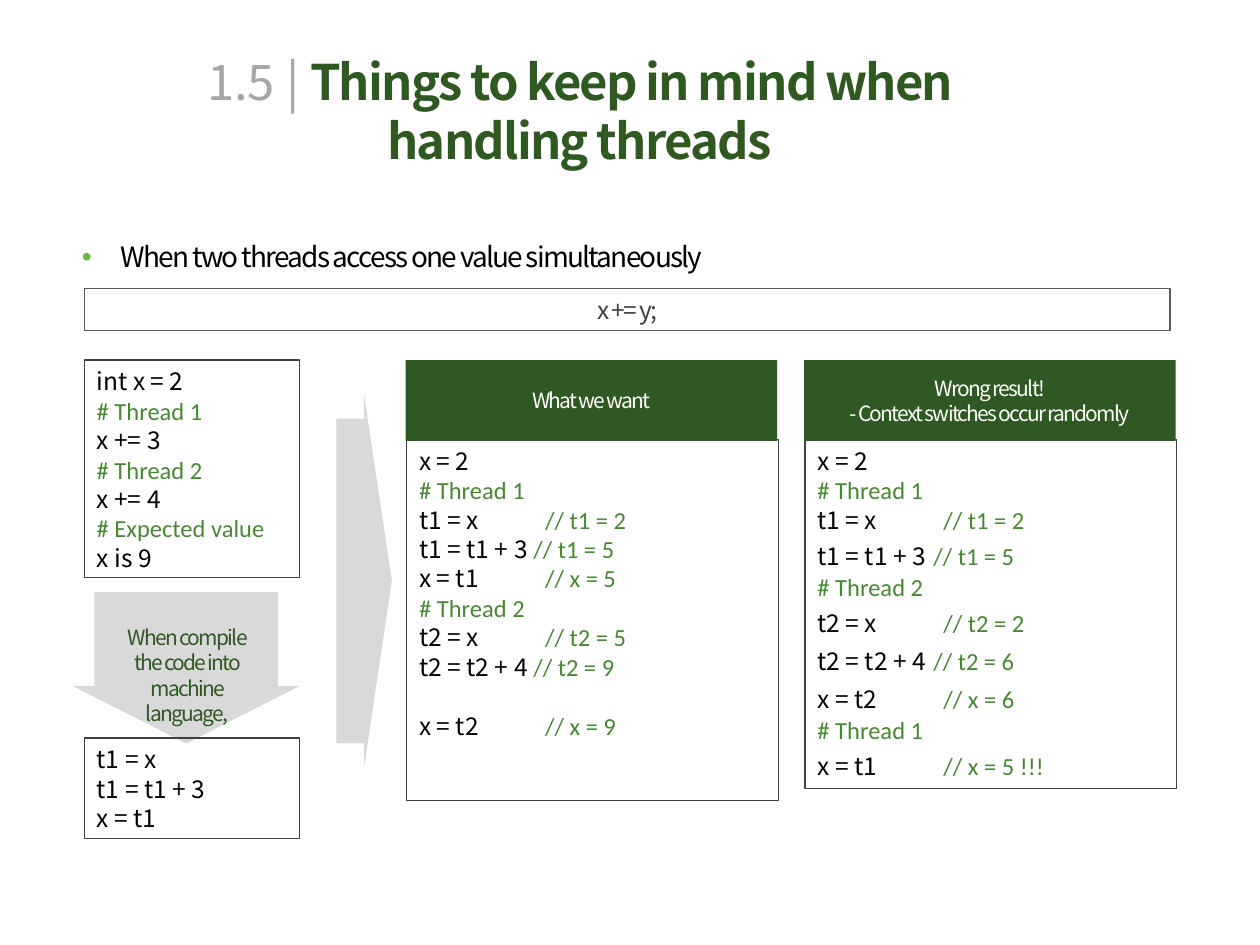
from dataclasses import dataclass, field
from typing import Optional

from lxml.etree import SubElement
from pptx import Presentation
from pptx.dml.color import RGBColor
from pptx.enum.shapes import MSO_SHAPE
from pptx.enum.text import MSO_ANCHOR, PP_ALIGN
from pptx.oxml.ns import qn
from pptx.util import Cm, Pt

DARK_GREEN = RGBColor(0x2F, 0x58, 0x22)
COMMENT_GREEN = RGBColor(0x49, 0x87, 0x35)
BULLET_GREEN = RGBColor(0x63, 0xB7, 0x49)
BLACK = RGBColor(0, 0, 0)
WHITE = RGBColor(0xFF, 0xFF, 0xFF)
CHARCOAL = RGBColor(0x40, 0x40, 0x40)
GRAY = RGBColor(0x59, 0x59, 0x59)
NUMBER_GRAY = RGBColor(0xA6, 0xA6, 0xA6)
ARROW_GRAY = RGBColor(0xD9, 0xD9, 0xD9)
SANS = "Noto Sans CJK KR"
CODE_FONT = "Calibri"


@dataclass(frozen=True)
class Run:
    text: str
    size: float = 14
    color: RGBColor = BLACK
    name: str = SANS
    bold: bool = False
    spacing: float = 0


@dataclass(frozen=True)
class Line:
    runs: list[Run]
    format: dict = field(default_factory=dict)


@dataclass(frozen=True)
class Box:
    left: float
    top: float
    width: float
    height: float
    lines: list[Line] = field(default_factory=list)
    fill: Optional[RGBColor] = None
    outline: Optional[RGBColor] = None
    anchor: MSO_ANCHOR = MSO_ANCHOR.TOP
    preset: MSO_SHAPE = MSO_SHAPE.RECTANGLE
    adjustments: tuple[float, ...] = ()


def code(text: str) -> Line:
    return Line([Run(text)])


def comment_run(text: str) -> Run:
    return Run(text, color=COMMENT_GREEN, name=CODE_FONT)


def comment(text: str) -> Line:
    return Line([comment_run(text)])


def step(text: str, gap: str, note: str, space_before: float = 0) -> Line:
    return Line([Run(text + gap), comment_run(note)], {"space_before": Pt(space_before)})


def tall_step(text: str, gap: str, note: str) -> Line:
    return Line([Run(text), Run(gap, size=18, name=CODE_FONT), comment_run(note)])


def centered(*runs: Run) -> Line:
    return Line(list(runs), {"alignment": PP_ALIGN.CENTER})


def write_run(paragraph, run: Run) -> None:
    for index, text in enumerate(run.text.split("\n")):
        if index:
            paragraph.add_line_break()
        text_run = paragraph.add_run()
        text_run.text = text
        values = {"name": run.name, "size": Pt(run.size), "bold": run.bold}
        for attribute, value in values.items():
            setattr(text_run.font, attribute, value)
        text_run.font.color.rgb = run.color
        if run.spacing:
            text_run.font._element.set("spc", str(int(run.spacing * 100)))


def write_lines(shape, box: Box) -> None:
    frame = shape.text_frame
    for attribute, value in {"word_wrap": True, "vertical_anchor": box.anchor}.items():
        setattr(frame, attribute, value)
    for index, line in enumerate(box.lines):
        paragraph = frame.add_paragraph() if index else frame.paragraphs[0]
        for attribute, value in {"alignment": PP_ALIGN.LEFT, **line.format}.items():
            setattr(paragraph, attribute, value)
        for run in line.runs:
            write_run(paragraph, run)


def place(box: Box) -> tuple[Cm, Cm, Cm, Cm]:
    return Cm(box.left), Cm(box.top), Cm(box.width), Cm(box.height)


def draw_text(slide, box: Box):
    shape = slide.shapes.add_textbox(*place(box))
    write_lines(shape, box)
    return shape


def draw_shape(slide, box: Box) -> None:
    shape = slide.shapes.add_shape(box.preset, *place(box))
    shape.shadow.inherit = False
    for index, value in enumerate(box.adjustments):
        shape.adjustments[index] = value
    if box.fill is None:
        shape.fill.background()
    else:
        shape.fill.solid()
        shape.fill.fore_color.rgb = box.fill
    if box.outline is None:
        shape.line.fill.background()
    else:
        shape.line.color.rgb = box.outline
        shape.line.width = Pt(0.75)
    write_lines(shape, box)


def add_bullet(paragraph, color: RGBColor) -> None:
    properties = paragraph._p.get_or_add_pPr()
    properties.set("marL", str(Cm(0.79)))
    properties.set("indent", str(Cm(-0.79)))
    bullet_color = SubElement(properties, qn("a:buClr"))
    SubElement(bullet_color, qn("a:srgbClr")).set("val", str(color))
    SubElement(properties, qn("a:buFont")).set("typeface", "Arial")
    SubElement(properties, qn("a:buChar")).set("char", "•")


def draw_panel(slide, left: float, height: float, heading: str, lines: list[Line]) -> None:
    draw_shape(slide, Box(left + 0.02, 8.86, 7.49, height, lines, outline=CHARCOAL))
    heading_line = centered(Run(heading, 12, WHITE, spacing=-1))
    draw_shape(slide, Box(left, 7.26, 7.49, 1.63, [heading_line],
                          fill=DARK_GREEN, anchor=MSO_ANCHOR.MIDDLE))


TITLE = Box(2.79, 0.91, 17.78, 2.64, [centered(
    Run("1.5 | ", 28, NUMBER_GRAY),
    Run("Things to keep in mind when handling threads", 28, DARK_GREEN, bold=True, spacing=-1),
)], anchor=MSO_ANCHOR.MIDDLE)
TOPIC = Box(1.4, 4.37, 22.71, 1.27, [Line(
    [Run("When two threads access one value simultaneously", 16, spacing=-1)],
    {"line_spacing": 1.5, "space_before": Pt(6)},
)])
STATEMENT = Box(1.7, 5.82, 21.89, 0.84,
                [centered(Run("x += y;", color=CHARCOAL, spacing=-1))], outline=GRAY)
DOWN_ARROW = Box(1.47, 11.94, 4.57, 3.05, fill=ARROW_GRAY,
                 preset=MSO_SHAPE.DOWN_ARROW, adjustments=(0.81, 0.38))
COMPILE_CAPTION = Box(2.21, 12.47, 3.12, 3.66, [centered(
    Run("When compile the code into machine language,", 12, DARK_GREEN, spacing=-1))])
SOURCE_CODE = Box(1.7, 7.26, 4.34, 4.39, [
    code("int x = 2"), comment("# Thread 1"), code("x += 3"), comment("# Thread 2"),
    code("x += 4"), comment("# Expected value"), code("x is 9"),
], outline=CHARCOAL)
MACHINE_CODE = Box(1.7, 14.88, 4.34, 2.03,
                   [code("t1 = x"), code("t1 = t1 + 3"), code("x = t1")], outline=CHARCOAL)
RIGHT_ARROW = Box(6.78, 7.95, 1.12, 7.52, fill=ARROW_GRAY,
                  preset=MSO_SHAPE.RIGHT_ARROW, adjustments=(0.87, 0.5))
WANTED_STEPS = [
    code("x = 2"), comment("# Thread 1"),
    step("t1 = x", " \t", "// t1 = 2"),
    step("t1 = t1 + 3", " ", "// t1 = 5"),
    step("x = t1", " \t", "// x = 5"),
    comment("# Thread 2"),
    step("t2 = x", " \t", "// t2 = 5"),
    step("t2 = t2 + 4", " ", "// t2 = 9"),
    step("x = t2", " \t", "// x = 9", space_before=17),
]
WRONG_STEPS = [
    code("x = 2"), comment("# Thread 1"),
    step("t1 = x", " \t", "// t1 = 2"),
    tall_step("t1 = t1 + 3", " ", "// t1 = 5"),
    comment("# Thread 2"),
    tall_step("t2 = x", " \t", "// t2 = 2"),
    tall_step("t2 = t2 + 4", " ", "// t2 = 6"),
    tall_step("x = t2", " \t", "// x = 6"),
    comment("# Thread 1"),
    tall_step("x = t1", " \t", "// x = 5 !!!"),
]


def main() -> None:
    presentation = Presentation()
    presentation.slide_width, presentation.slide_height = Cm(25.4), Cm(19.05)
    slide = presentation.slides.add_slide(presentation.slide_layouts[6])
    draw_text(slide, TITLE)
    topic = draw_text(slide, TOPIC)
    add_bullet(topic.text_frame.paragraphs[0], BULLET_GREEN)
    draw_shape(slide, STATEMENT)
    draw_shape(slide, DOWN_ARROW)
    draw_text(slide, COMPILE_CAPTION)
    for box in (SOURCE_CODE, MACHINE_CODE):
        draw_shape(slide, box)
    draw_panel(slide, 8.18, 7.28, "What we want", WANTED_STEPS)
    draw_panel(slide, 16.21, 7.04,
               "Wrong result!\n- Context switches occur randomly", WRONG_STEPS)
    draw_shape(slide, RIGHT_ARROW)
    presentation.save("out.pptx")


if __name__ == "__main__":
    main()
